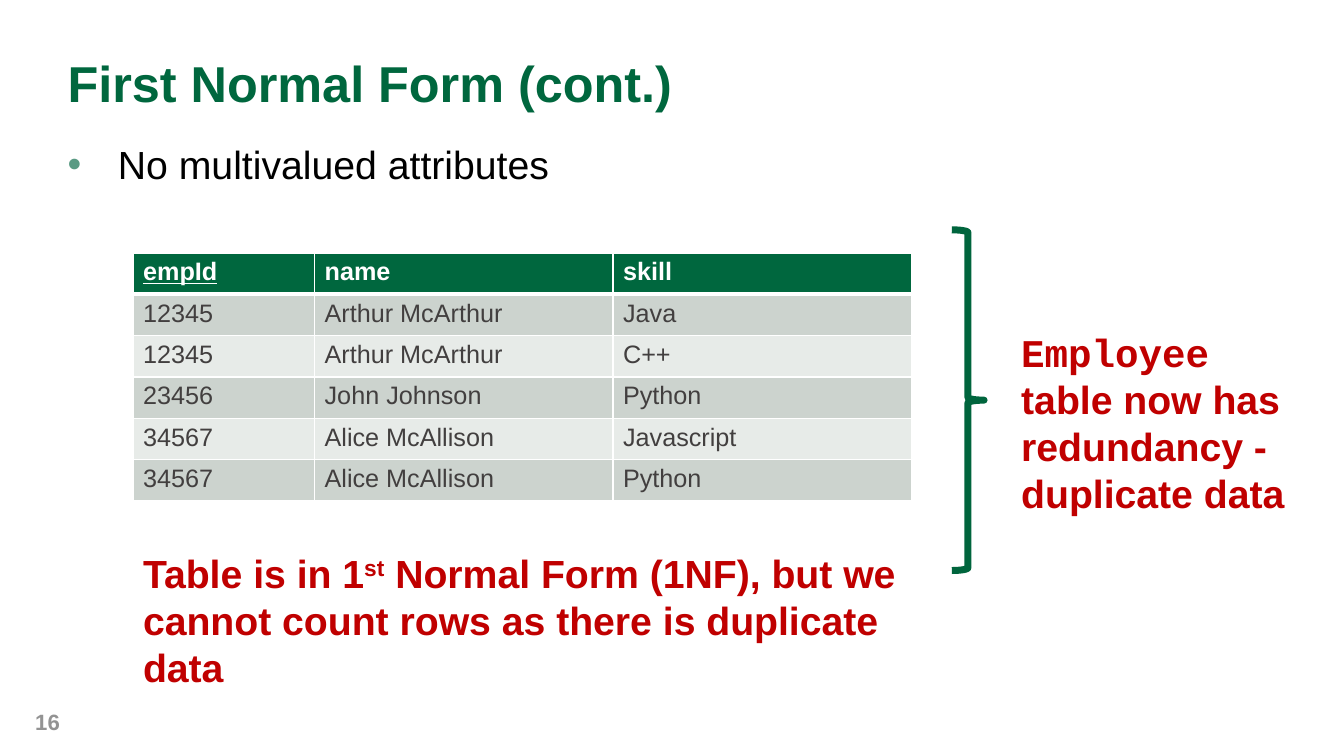
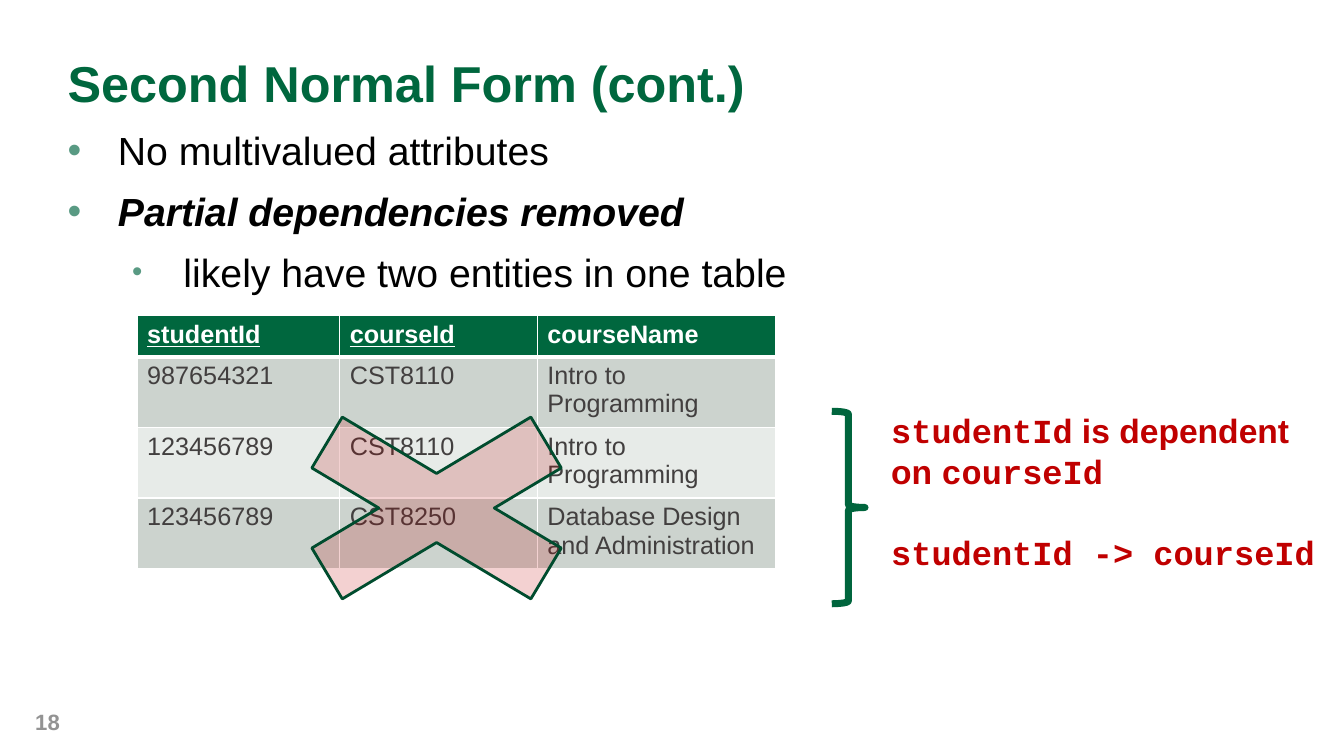
from dataclasses import dataclass

from lxml import etree
from pptx import Presentation
from pptx.dml import color
from pptx.enum import shapes, text
from pptx.oxml import ns
from pptx.util import Inches, Pt

COLORS = {
    "title": "00673E",
    "brace": "00653D",
    "cross_line": "004C2E",
    "alert": "C00000",
    "bullet": "599A83",
    "body": "000000",
    "number": "939393",
    "cell": "423F3F",
    "white": "FFFFFF",
    "band_dark": "CCD3CE",
    "band_light": "E7EBE8",
}
SANS, MONO = "Arial", "Courier New"
ROW_HEIGHT = 0.41


@dataclass(frozen=True)
class Area:
    left: float
    top: float
    width: float
    height: float

    def lengths(self) -> tuple:
        return tuple(Inches(v) for v in (self.left, self.top, self.width, self.height))


@dataclass(frozen=True)
class Span:
    words: str
    size: float = 28
    color: str = "alert"
    font: str = SANS
    bold: bool = True
    italic: bool = False
    underline: bool = False
    baseline: int = 0


@dataclass(frozen=True)
class Para:
    spans: tuple[Span, ...]
    line_spacing: float = 1.0
    space_before: float = 0
    bullet_size: int = 0
    indent: float = 0
    hanging: float = 0


@dataclass(frozen=True)
class Grid:
    left: float
    top: float
    widths: tuple[float, ...]
    keys: tuple[str, ...]
    rows: tuple[tuple[str, ...], ...]


@dataclass(frozen=True)
class Page:
    number: str
    title: str
    bullet_area: Area
    bullets: tuple[Para, ...]
    grid: Grid
    brace: Area
    notes: tuple[tuple[Area, tuple[Para, ...]], ...]
    cross: Area | None = None


def rgb(name: str) -> color.RGBColor:
    return color.RGBColor.from_string(COLORS[name])


def add_child(parent, tag: str, **attributes: str):
    return etree.SubElement(parent, ns.qn(tag), attributes)


def add_span(para, item: Span) -> None:
    span = para.add_run()
    span.text = item.words
    font = span.font
    font.name, font.size = item.font, Pt(item.size)
    font.bold, font.italic, font.underline = item.bold, item.italic, item.underline
    font.color.rgb = rgb(item.color)
    if item.baseline:
        span._r.get_or_add_rPr().set("baseline", str(item.baseline * 1000))


def add_bullet(para, item: Para) -> None:
    props = para._p.get_or_add_pPr()
    props.set("marL", str(Inches(item.indent)))
    props.set("indent", str(-Inches(item.hanging)))
    add_child(add_child(props, "a:buClr"), "a:srgbClr", val=COLORS["bullet"])
    add_child(props, "a:buSzPct", val=str(item.bullet_size * 1000))
    add_child(props, "a:buFont", typeface=SANS)
    add_child(props, "a:buChar", char="•")


def add_text(page, area: Area, paras: tuple[Para, ...], inset: bool = False,
             anchor=text.MSO_ANCHOR.TOP) -> None:
    frame = page.shapes.add_textbox(*area.lengths()).text_frame
    frame.word_wrap = True
    frame.vertical_anchor = anchor
    if inset:
        frame.auto_size = text.MSO_AUTO_SIZE.SHAPE_TO_FIT_TEXT
    else:
        frame.margin_left = frame.margin_right = 0
        frame.margin_top = frame.margin_bottom = 0
    for index, item in enumerate(paras):
        para = frame.add_paragraph() if index else frame.paragraphs[0]
        para.line_spacing = item.line_spacing
        para.space_before = Pt(item.space_before)
        if item.bullet_size:
            add_bullet(para, item)
        for span in item.spans:
            add_span(para, span)


def add_borders(cell, row: int) -> None:
    props = cell._tc.get_or_add_tcPr()
    widths = {"L": 1, "R": 1, "T": 3 if row == 1 else 1, "B": 3 if row == 0 else 1}
    for side, width in widths.items():
        line = add_child(props, f"a:ln{side}", w=str(Pt(width)))
        add_child(add_child(line, "a:solidFill"), "a:srgbClr", val=COLORS["white"])


def add_grid(page, grid: Grid) -> None:
    count = len(grid.rows)
    area = Area(grid.left, grid.top, sum(grid.widths), count * ROW_HEIGHT)
    table = page.shapes.add_table(count, len(grid.widths), *area.lengths()).table
    table.horz_banding = False
    for column, width in zip(table.columns, grid.widths):
        column.width = Inches(width)
    for r, words in enumerate(grid.rows):
        table.rows[r].height = Inches(ROW_HEIGHT)
        header = r == 0
        fill = "title" if header else "band_dark" if r % 2 else "band_light"
        for c, word in enumerate(words):
            cell = table.cell(r, c)
            add_borders(cell, r)
            cell.fill.solid()
            cell.fill.fore_color.rgb = rgb(fill)
            add_span(cell.text_frame.paragraphs[0],
                     Span(word, 18, "white" if header else "cell", bold=header,
                          underline=header and word in grid.keys))


def add_outline(page, kind, area: Area, line: str, width: float):
    shape = page.shapes.add_shape(kind, *area.lengths())
    shape.shadow.inherit = False
    shape.fill.background()
    shape.line.color.rgb = rgb(line)
    shape.line.width = Pt(width)
    return shape


def add_cross(page, area: Area) -> None:
    cross = add_outline(page, shapes.MSO_SHAPE.MATH_MULTIPLY, area, "cross_line", 2)
    cross.fill.solid()
    cross.fill.fore_color.rgb = rgb("alert")
    tint = cross._element.spPr.find(ns.qn("a:solidFill"))[0]
    add_child(tint, "a:alpha", val="18000")


def add_page(deck, content: Page) -> None:
    page = deck.slides.add_slide(deck.slide_layouts[6])
    add_text(page, Area(0.35, 6.96, 0.97, 0.4),
             (Para((Span(content.number, 15.8, "number"),)),),
             anchor=text.MSO_ANCHOR.MIDDLE)
    add_text(page, Area(0.67, 0.63, 11.88, 1.1),
             (Para((Span(content.title, 36, "title"),), line_spacing=0.8),))
    add_text(page, content.bullet_area, content.bullets)
    add_grid(page, content.grid)
    if content.cross:
        add_cross(page, content.cross)
    add_outline(page, shapes.MSO_SHAPE.RIGHT_BRACE, content.brace, "brace", 5)
    for area, paras in content.notes:
        add_text(page, area, paras, inset=True)


def bullet(words: str, line_spacing: float, strong: bool = False, sub: bool = False) -> Para:
    span = Span(words, color="body", bold=strong, italic=strong)
    indent, hanging, size = (1.15, 0.51, 75) if sub else (0.5, 0.5, 100)
    return Para((span,), line_spacing, 6.4, size, indent, hanging)


def code(words: str, size: float = 24) -> Span:
    return Span(words, size, font=MONO)


PAGES = (
    Page(
        number="16",
        title="First Normal Form (cont.)",
        bullet_area=Area(0.67, 1.44, 8.5, 0.76),
        bullets=(bullet("No multivalued attributes", 0.9),),
        grid=Grid(1.32, 2.51, (1.8, 2.96, 2.96), ("empId",), (
            ("empId", "name", "skill"),
            ("12345", "Arthur McArthur", "Java"),
            ("12345", "Arthur McArthur", "C++"),
            ("23456", "John Johnson", "Python"),
            ("34567", "Alice McAllison", "Javascript"),
            ("34567", "Alice McAllison", "Python"),
        )),
        brace=Area(9.44, 2.28, 0.32, 3.38),
        notes=(
            (Area(10.03, 3.21, 2.81, 1.99), (Para((
                code("Employee", 28),
                Span(" table now has redundancy - duplicate data"),
            )),)),
            (Area(1.32, 5.4, 7.72, 1.51), (Para((
                Span("Table is in 1"),
                Span("st", baseline=30),
                Span(" Normal Form (1NF), but we cannot count rows as there is duplicate data"),
            )),)),
        ),
    ),
    Page(
        number="18",
        title="Second Normal Form (cont.)",
        bullet_area=Area(0.67, 1.21, 9.17, 2.17),
        bullets=(
            bullet("No multivalued attributes", 1.1),
            bullet("Partial dependencies removed", 1.1, strong=True),
            bullet("likely have two entities in one table", 1.1, sub=True),
        ),
        grid=Grid(1.36, 3.13, (2.01, 1.96, 2.36), ("studentId", "courseId"), (
            ("studentId", "courseId", "courseName"),
            ("987654321", "CST8110", "Intro to Programming"),
            ("123456789", "CST8110", "Intro to Programming"),
            ("123456789", "CST8250", "Database Design and Administration"),
        )),
        brace=Area(8.25, 4.08, 0.33, 1.91),
        notes=(
            (Area(8.74, 4.02, 4.55, 1.72), (
                Para((code("studentId"), Span(" is dependent on ", 24), code("courseId"))),
                Para((code("studentId -> courseId"),), space_before=29),
            )),
        ),
        cross=Area(2.24, 3.79, 4.18, 2.5),
    ),
)


def main() -> None:
    deck = Presentation()
    deck.slide_width, deck.slide_height = Inches(13.33), Inches(7.5)
    for content in PAGES:
        add_page(deck, content)
    deck.save("out.pptx")


if __name__ == "__main__":
    main()
